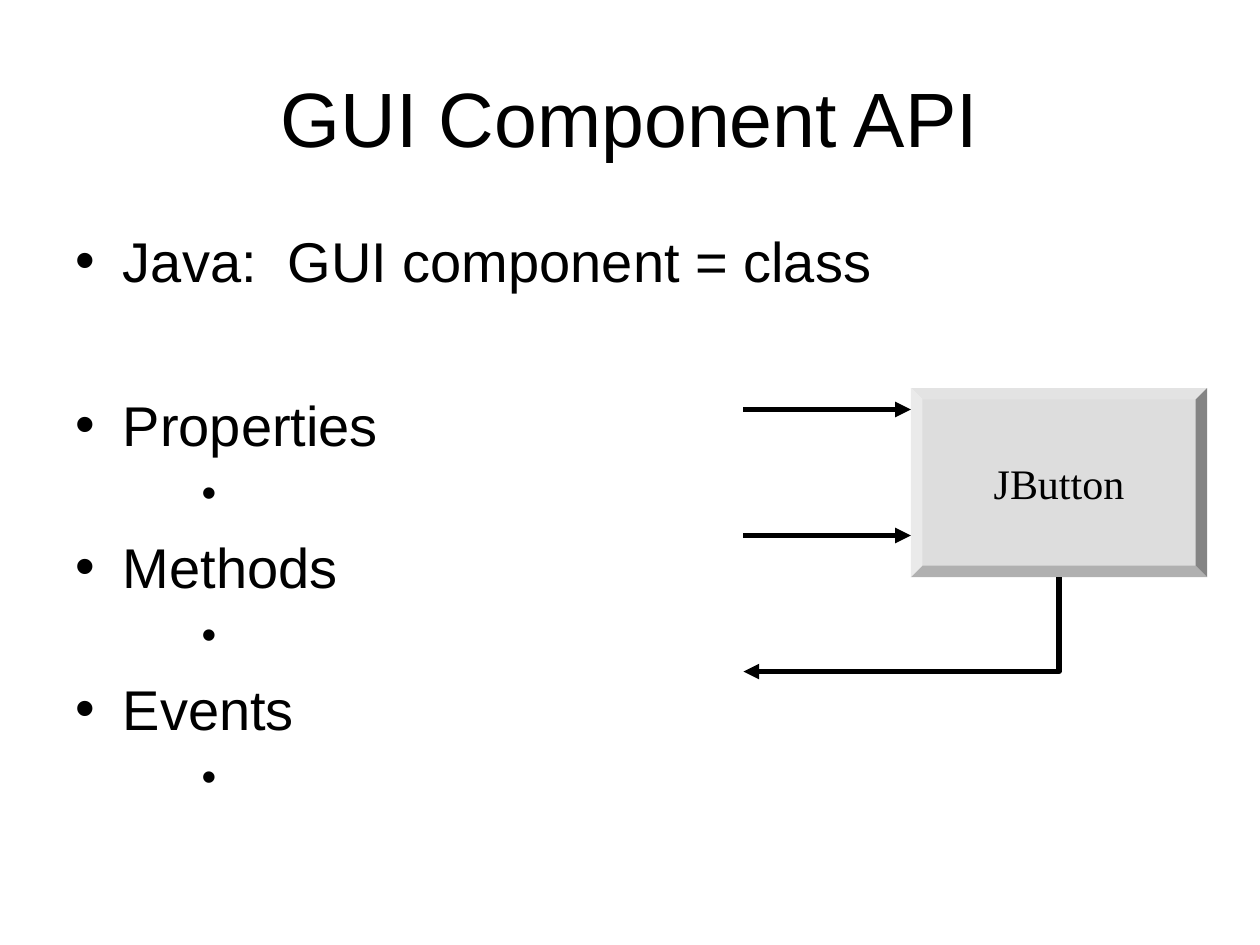
from dataclasses import dataclass
from lxml.etree import SubElement
from pptx import Presentation
from pptx.dml.color import RGBColor as RGB
from pptx.enum.shapes import MSO_CONNECTOR as Link, MSO_SHAPE as Shape
from pptx.enum.text import MSO_ANCHOR as Anchor, MSO_AUTO_SIZE as Fit, PP_ALIGN as Align
from pptx.oxml.ns import qn
from pptx.util import Inches, Pt


@dataclass(frozen=True)
class Theme:
    ink: RGB = RGB(0, 0, 0)
    face: RGB = RGB(0xDD, 0xDD, 0xDD)
    sans: str = "Arial"
    serif: str = "Times New Roman"
    title: int = 44
    item: int = 32
    sub: int = 24
    stroke: int = 3


THEME = Theme()

# Text, level and space before in points
ITEMS = [
    ("Java:  GUI component = class", 0, 8),
    ("Properties", 0, 55),
    (" ", 2, 6),
    ("Methods", 0, 8),
    (" ", 2, 6),
    ("Events", 0, 8),
    (" ", 2, 6),
]


def place(shape, box):
    shape.left, shape.top, shape.width, shape.height = map(Inches, box)


def style(para, size, name):
    for run in para.runs:
        run.font.size = Pt(size)
        run.font.name = name
        run.font.color.rgb = THEME.ink


def ink_line(shape, tip=True):
    shape.line.color.rgb = THEME.ink
    shape.line.width = Pt(THEME.stroke)
    if tip:
        SubElement(shape.line._get_or_add_ln(), qn("a:tailEnd"), type="triangle")


def add_title(slide, box):
    title = slide.shapes.title
    place(title, box)
    frame = title.text_frame
    frame.text = "GUI Component API"
    frame.auto_size = Fit.NONE
    frame.vertical_anchor = Anchor.MIDDLE
    para = frame.paragraphs[0]
    para.alignment = Align.CENTER
    style(para, THEME.title, THEME.sans)


def add_list(slide, box):
    body = slide.placeholders[1]
    place(body, box)
    frame = body.text_frame
    frame.text = "\n".join(text for text, _, _ in ITEMS)
    frame.auto_size = Fit.NONE
    for para, (_, level, gap) in zip(frame.paragraphs, ITEMS):
        para.level = level
        para.space_before = Pt(gap)
        style(para, THEME.sub if level else THEME.item, THEME.sans)


def add_button(slide, box):
    button = slide.shapes.add_shape(Shape.BEVEL, *map(Inches, box))
    button.adjustments[0] = 0.06
    button.shadow.inherit = False
    button.fill.solid()
    button.fill.fore_color.rgb = THEME.face
    button.line.fill.background()
    frame = button.text_frame
    frame.text = "JButton"
    frame.word_wrap = False
    frame.vertical_anchor = Anchor.MIDDLE
    para = frame.paragraphs[0]
    para.alignment = Align.CENTER
    style(para, THEME.sub, THEME.serif)


def add_arrows(slide, box, start):
    left, top, width, height = box

    # Inputs: properties and methods
    for y in (top + 0.17, top + 1.17):
        arrow = slide.shapes.add_connector(
            Link.STRAIGHT, Inches(start), Inches(y), Inches(left), Inches(y))
        ink_line(arrow)
        SubElement(arrow._element.spPr, qn("a:effectLst"))

    # Output: events, bent under the button
    mid, base = left + width / 2, top + height
    pen = slide.shapes.build_freeform(Inches(mid), Inches(base))
    bend = [(mid, base + 0.75), (start, base + 0.75)]
    pen.add_line_segments([(Inches(x), Inches(y)) for x, y in bend], close=False)
    event = pen.convert_to_shape()
    event.shadow.inherit = False
    event.fill.background()
    ink_line(event)


def main():
    deck = Presentation()
    deck.slide_width, deck.slide_height = Inches(10), Inches(7.5)
    slide = deck.slides.add_slide(deck.slide_layouts[1])
    button = (7.23, 3.08, 2.35, 1.5)
    add_title(slide, (0.5, 0.3, 9, 1.25))
    add_list(slide, (0.5, 1.75, 9, 4.95))
    add_button(slide, button)
    add_arrows(slide, button, 5.9)
    deck.save("out.pptx")


if __name__ == "__main__":
    main()
